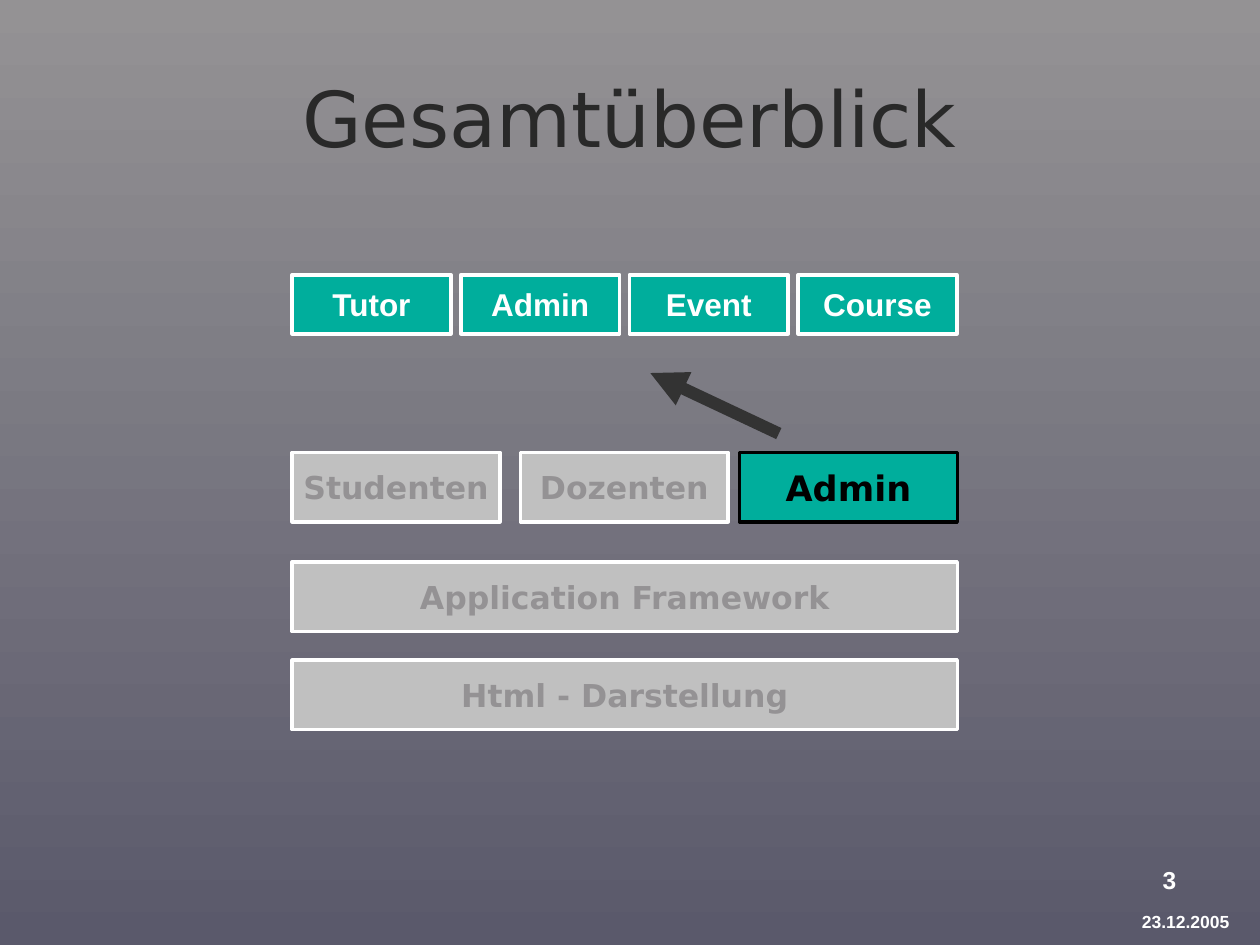
"""Build the slide "Gesamtüberblick" with its layers of boxes."""
from lxml import etree
from pptx import Presentation
from pptx.dml.color import RGBColor
from pptx.enum.shapes import MSO_CONNECTOR, MSO_SHAPE
from pptx.enum.text import MSO_ANCHOR, PP_ALIGN
from pptx.oxml.ns import qn
from pptx.util import Cm, Pt

RECT = MSO_SHAPE.RECTANGLE
LINE = MSO_CONNECTOR.STRAIGHT
MID, TOP = MSO_ANCHOR.MIDDLE, MSO_ANCHOR.TOP
LEFT, MIDDLE = PP_ALIGN.LEFT, PP_ALIGN.CENTER
SANS, ARIAL = "DejaVu Sans", "Arial"
WHITE, BLACK, TEAL = "FFFFFF", "000000", "00AE9C"
SILVER, GREY = "C0C0C0", "949294"

rgb = RGBColor.from_string


def write(shape, text, font, size, color, bold=True, align=MIDDLE, anchor=MID, wrap=True):
    """Put one styled line of text into a shape."""
    frame = shape.text_frame
    frame.word_wrap = wrap
    frame.vertical_anchor = anchor
    para = frame.paragraphs[0]
    para.text = text
    para.alignment = align
    para.font.name = font
    para.font.size = Pt(size)
    para.font.bold = bold
    para.font.color.rgb = rgb(color)


deck = Presentation()
deck.slide_width, deck.slide_height = Cm(25.4), Cm(19.05)
slide = deck.slides.add_slide(deck.slide_layouts[6])
shapes = slide.shapes

back = slide.background.fill
back.gradient()
back.gradient_angle = 270
for stop, color in zip(back.gradient_stops, (GREY, "5A596B")):
    stop.color.rgb = rgb(color)

labels = [
    (23.19, 17.32, 2.21, 0.86, "3", ARIAL, 14, WHITE, True, LEFT, TOP),
    (22.4, 18.24, 3, 0.81, "23.12.2005", ARIAL, 10, WHITE, True, MIDDLE, TOP),
    (1.27, 0.76, 22.86, 3.18, "Gesamtüberblick", SANS, 44, "292929", False, MIDDLE, MID),
]
for x, y, wide, high, *style in labels:
    write(shapes.add_textbox(Cm(x), Cm(y), Cm(wide), Cm(high)), *style)

left, full, step = 5.89, 13.41, 3.4
dull = (SILVER, WHITE, SANS, 18, GREY)
live = (TEAL, BLACK, SANS, 20, BLACK)
part = (TEAL, WHITE, ARIAL, 18, WHITE)
boxes = [
    ("Application Framework", left, 11.33, full, 1.4, dull),
    ("Studenten", left, 9.12, 4.19, 1.4, dull),
    ("Html - Darstellung", left, 13.31, full, 1.4, dull),
    ("Dozenten", 10.49, 9.12, 4.19, 1.4, dull),
    ("Admin", 14.91, 9.12, 4.39, 1.4, live),
]
for i, name in enumerate(("Tutor", "Admin", "Event", "Course")):
    boxes.append((name, left + i * step, 5.54, 3.2, 1.19, part))

for text, x, y, wide, high, (fill, edge, font, size, color) in boxes:
    box = shapes.add_shape(RECT, Cm(x), Cm(y), Cm(wide), Cm(high))
    box.shadow.inherit = False
    box.fill.solid()
    box.fill.fore_color.rgb = rgb(fill)
    box.line.color.rgb = rgb(edge)
    box.line.width = Pt(2)
    write(box, text, font, size, color, wrap=False)

arrow = shapes.add_connector(LINE, Cm(15.7), Cm(8.74), Cm(13.11), Cm(7.52))
arrow.line.color.rgb = rgb("333333")
arrow.line.width = Pt(7)
etree.SubElement(arrow.line._get_or_add_ln(), qn("a:tailEnd"), type="triangle")
etree.SubElement(arrow._element.spPr, qn("a:effectLst"))

deck.save("out.pptx")
